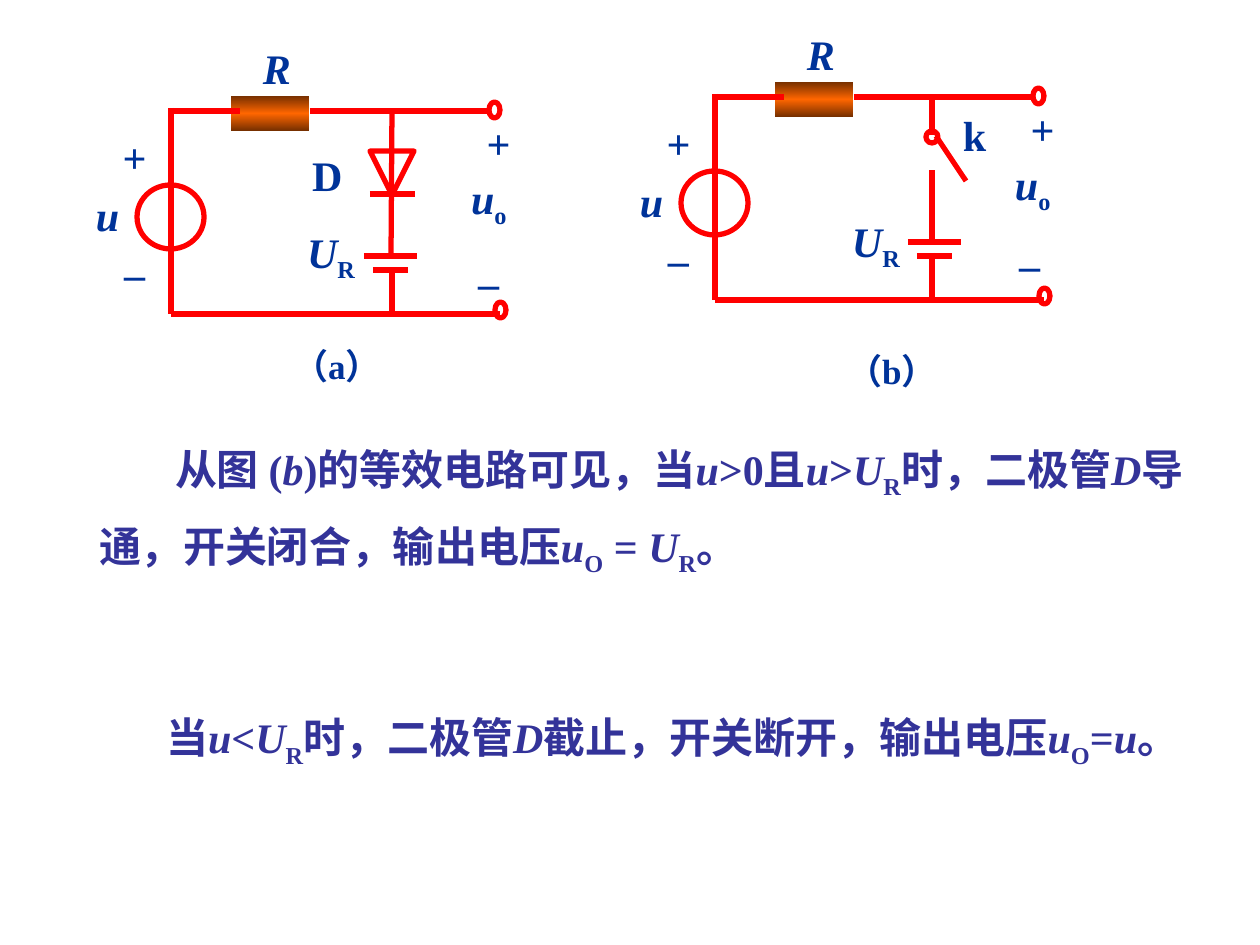
from copy import deepcopy

from pptx import Presentation
from pptx import util as u
from pptx.dml.color import RGBColor
from pptx.enum import shapes, text
from pptx.oxml import parse_xml

SCALE = 914400 / 126
RED, NAVY, INDIGO = "FF0000", "003399", "333399"
SERIF, SANS = "Times New Roman", "Arial"
COPPER = ["752F00", "FF6600", "752F00"]
OVAL = shapes.MSO_SHAPE.OVAL
TRIANGLE = shapes.MSO_SHAPE.ISOSCELES_TRIANGLE

STYLES = {
    "plain": {"bold": True, "italic": False, "name": SERIF},
    "italic": {"bold": True, "italic": True, "name": SERIF},
    "sub": {"bold": True, "italic": False, "name": SERIF},
    "sans": {"bold": True, "italic": False, "name": SANS},
}

RESISTOR = (231, 96, 78, 35)
SHARED = {
    "wires": [
        (171, 314, 500, 314), (310, 111, 489, 111), (171, 111, 240, 111),
        (171, 108, 171, 314), (373, 270, 408, 270), (364, 256, 417, 256),
    ],
    "outlines": [
        (OVAL, (489, 102, 11, 16), 0),
        (OVAL, (495, 302, 11, 16), 0),
        (OVAL, (137, 185, 67, 64), 0),
    ],
    "labels": [
        ((251, 32, 53, 63), [("R", "italic")]),
        ((84, 179, 48, 63), [("u", "italic")]),
        ((459, 161, 68, 71), [("u", "italic"), ("o", "sub")]),
    ],
    "signs": [((105, 121), "+"), ((469, 107), "+"), ((105, 237), "–")],
}

CIRCUITS = [
    {
        "offset": (0, 0),
        "wires": [(370, 194, 415, 194), (392, 110, 391, 256), (392, 269, 392, 312)],
        "outlines": [(TRIANGLE, (370, 151, 44, 44), 180)],
        "labels": [
            ((300, 139, 55, 63), [("D", "plain")]),
            ((295, 215, 80, 71), [("U", "italic"), ("R", "sub")]),
        ],
        "signs": [((459, 246), "–")],
        "caption": ((281, 333, 145, 55), "a"),
    },
    {
        "offset": (544, -14),
        "wires": [
            (388, 267, 388, 315), (388, 255, 388, 184),
            (388, 112, 388, 149), (392, 150, 422, 195),
        ],
        "outlines": [(OVAL, (382, 145, 12, 12), 0)],
        "labels": [
            ((407, 112, 48, 63), [("k", "plain")]),
            ((296, 218, 80, 71), [("U", "italic"), ("R", "sub")]),
        ],
        "signs": [((456, 242), "–")],
        "caption": ((291, 352, 160, 55), "b"),
    },
]

EXPLANATION_AREA = (87, 417, 1129, 357)
EXPLANATION = [
    {
        "indent": 76, "line_spacing": 1.35, "space_before": 0,
        "runs": [
            ("从图 (", "plain"), ("b", "italic"), (")的等效电路可见，当", "plain"),
            ("u", "italic"), (">0且", "plain"), ("u", "italic"), (">", "plain"),
            ("U", "italic"), ("R", "sub"), ("时，二极管", "plain"),
            ("D", "italic"), ("导通，开关闭合，输出电压", "plain"),
            ("u", "italic"), ("O", "sub"), (" = ", "plain"),
            ("U", "italic"), ("R", "sub"), ("。", "plain"),
        ],
    },
    {
        "indent": 67, "line_spacing": 1.2, "space_before": 70,
        "runs": [
            ("当", "plain"), ("u", "italic"), ("<", "plain"), ("U", "italic"),
            ("R", "sub"), ("时，二极管", "plain"), ("D", "italic"),
            ("截止，开关断开，输出电压", "plain"), ("u", "italic"),
            ("O", "sub"), ("=", "plain"), ("u", "italic"), ("。", "plain"),
        ],
    },
]


def emu(*lengths):
    return [round(length * SCALE) for length in lengths]


def color(value):
    return RGBColor.from_string(value)


def apply(target, values):
    for name, value in values.items():
        setattr(target, name, value)


def add_runs(para, runs, size, ink):
    for words, style in runs:
        span = para.add_run()
        span.text = words
        apply(span.font, {**STYLES[style], "size": u.Pt(size)})
        span.font.color.rgb = color(ink)
        if style == "sub":
            span.font._element.set("baseline", "-25000")


def add_box(parent, area, top_inset):
    frame = parent.add_textbox(*emu(*area)).text_frame
    side, top, bottom = emu(12, top_inset, 2)
    apply(frame, {"word_wrap": True, "margin_left": side, "margin_right": side,
                  "margin_top": top, "margin_bottom": bottom})
    return frame


def add_label(parent, area, runs, size=24, align=text.PP_ALIGN.LEFT):
    para = add_box(parent, area, 11).paragraphs[0]
    para.alignment = align
    add_runs(para, runs, size, NAVY)


def set_stroke(shape):
    shape.line.color.rgb = color(RED)
    shape.line.width = u.Pt(3)


def add_wire(parent, ends):
    wire = parent.add_connector(shapes.MSO_CONNECTOR.STRAIGHT, *emu(*ends))
    set_stroke(wire)
    wire._element.spPr.append(parse_xml(
        '<a:effectLst xmlns:a="http://schemas.openxmlformats.org/drawingml/2006/main"/>'))


def add_outline(parent, kind, area, rotation):
    shape = parent.add_shape(kind, *emu(*area))
    shape.rotation = rotation
    shape.shadow.inherit = False
    shape.fill.background()
    set_stroke(shape)


def add_resistor(parent, area):
    shape = parent.add_shape(shapes.MSO_SHAPE.RECTANGLE, *emu(*area))
    shape.shadow.inherit = False
    shape.line.fill.background()
    shape.fill.gradient()
    shape.fill.gradient_angle = 90
    first = shape.fill.gradient_stops[0]._gs
    first.addnext(deepcopy(first))
    for index, (stop, value) in enumerate(zip(shape.fill.gradient_stops, COPPER)):
        stop.color.rgb = color(value)
        stop.position = index / (len(COPPER) - 1)


def add_circuit(page, circuit):
    dx, dy = circuit["offset"]
    group = page.shapes.add_group_shape().shapes

    def place(area):
        left, top, *size = area
        return (left + dx, top + dy, *size)

    add_resistor(group, place(RESISTOR))
    for x1, y1, x2, y2 in SHARED["wires"] + circuit["wires"]:
        add_wire(group, (x1 + dx, y1 + dy, x2 + dx, y2 + dy))
    for kind, area, rotation in SHARED["outlines"] + circuit["outlines"]:
        add_outline(group, kind, place(area), rotation)
    for area, runs in SHARED["labels"] + circuit["labels"]:
        add_label(group, place(area), runs)
    for corner, sign in SHARED["signs"] + circuit["signs"]:
        add_label(group, place((*corner, 59, 63)), [(sign, "plain")],
                  align=text.PP_ALIGN.CENTER)
    area, letter = circuit["caption"]
    add_label(group, place(area), [("（", "sans"), (letter, "plain"), ("）", "sans")], 20)


def add_explanation(page):
    frame = add_box(page.shapes, EXPLANATION_AREA, 6)
    for index, item in enumerate(EXPLANATION):
        para = frame.add_paragraph() if index else frame.paragraphs[0]
        apply(para, {"line_spacing": item["line_spacing"],
                     "space_before": u.Pt(item["space_before"])})
        para._p.get_or_add_pPr().set("indent", str(emu(item["indent"])[0]))
        add_runs(para, item["runs"], 24, INDIGO)


def main():
    deck = Presentation()
    deck.slide_width, deck.slide_height = emu(1260, 945)
    page = deck.slides.add_slide(deck.slide_layouts[6])
    for circuit in CIRCUITS:
        add_circuit(page, circuit)
    add_explanation(page)
    deck.save("out.pptx")


if __name__ == "__main__":
    main()
